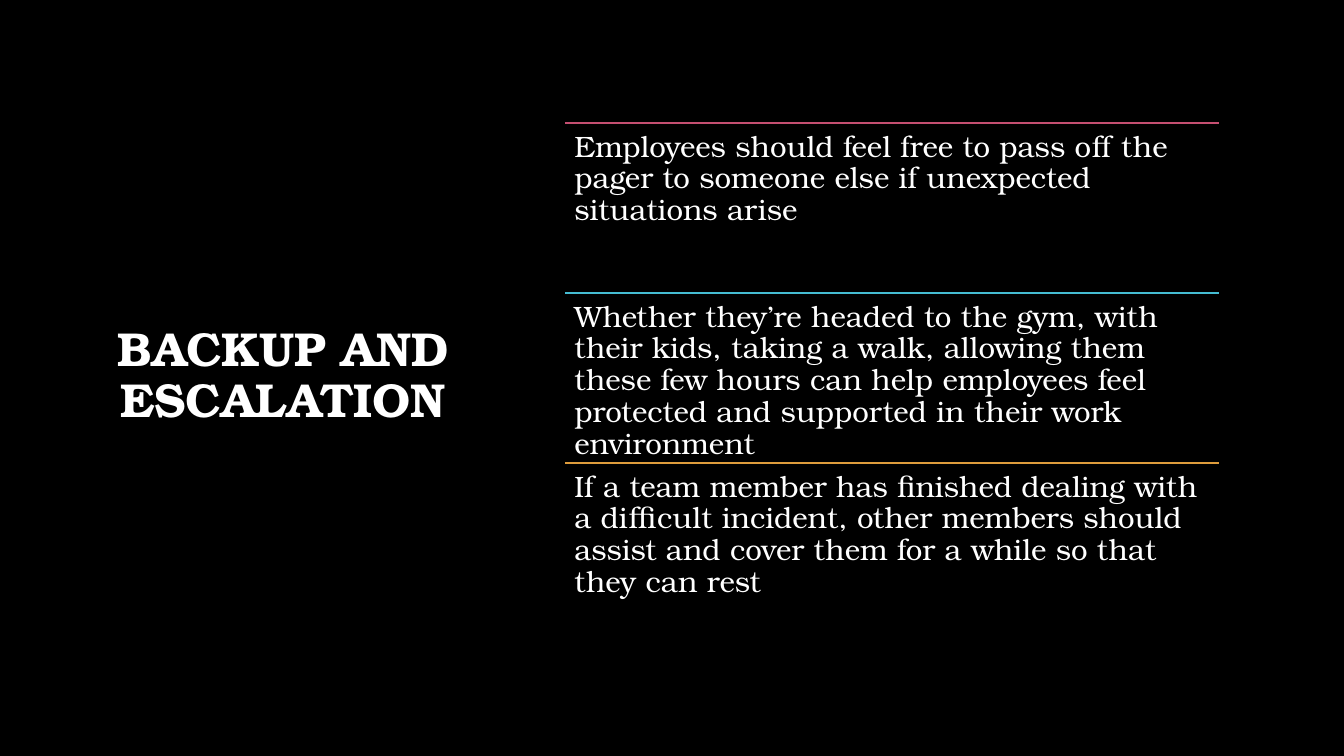
"""Build the slide on backup and escalation for on-call staff."""
from lxml import etree
from pptx import Presentation
from pptx.dml.color import RGBColor
from pptx.enum import shapes, text
from pptx.oxml import ns
from pptx.util import Pt


def paint(color, code):
    color.rgb = RGBColor.from_string(code)


def style(para, size, bold):
    para.line_spacing = 0.9
    para.font.name = "TeX Gyre Bonum"
    para.font.size = Pt(size)
    para.font.bold = bold
    paint(para.font.color, "FFFFFF")


deck = Presentation()
deck.slide_width, deck.slide_height = Pt(960), Pt(540)
slide = deck.slides.add_slide(deck.slide_layouts[5])
slide.background.fill.solid()
paint(slide.background.fill.fore_color, "000000")

title = slide.shapes.title
title.left, title.top = Pt(59), Pt(48.2)
title.width, title.height = Pt(286.6), Pt(441.4)
frame = title.text_frame
frame.text = "BACKUP AND ESCALATION"
frame.word_wrap = True
frame.auto_size = text.MSO_AUTO_SIZE.NONE
frame.vertical_anchor = text.MSO_ANCHOR.MIDDLE
frame.paragraphs[0].alignment = text.PP_ALIGN.CENTER
style(frame.paragraphs[0], 34, True)

points = [
    ("C54F71", "Employees should feel free to pass off the pager to someone "
               "else if unexpected situations arise"),
    ("45BCD2", "Whether they’re headed to the gym, with their kids, taking a "
               "walk, allowing them these few hours can help employees feel "
               "protected and supported in their work environment"),
    ("DE9C3C", "If a team member has finished dealing with a difficult "
               "incident, other members should assist and cover them for a "
               "while so that they can rest"),
]
left, top, width, step = 403.9, 87.8, 466.6, 121.4

for row, (hue, words) in enumerate(points):
    y = Pt(top + row * step)
    rule = slide.shapes.add_connector(
        shapes.MSO_CONNECTOR.STRAIGHT, Pt(left), y, Pt(left + width), y)
    rule.line.width = Pt(1)
    paint(rule.line.color, hue)
    etree.SubElement(rule._element.spPr, ns.qn("a:effectLst"))

    box = slide.shapes.add_textbox(Pt(left), y, Pt(width), Pt(step))
    frame = box.text_frame
    frame.word_wrap = True
    frame.margin_left = frame.margin_right = Pt(6.3)
    frame.margin_top = frame.margin_bottom = Pt(6.3)
    frame.text = words
    style(frame.paragraphs[0], 21, False)

deck.save("out.pptx")
